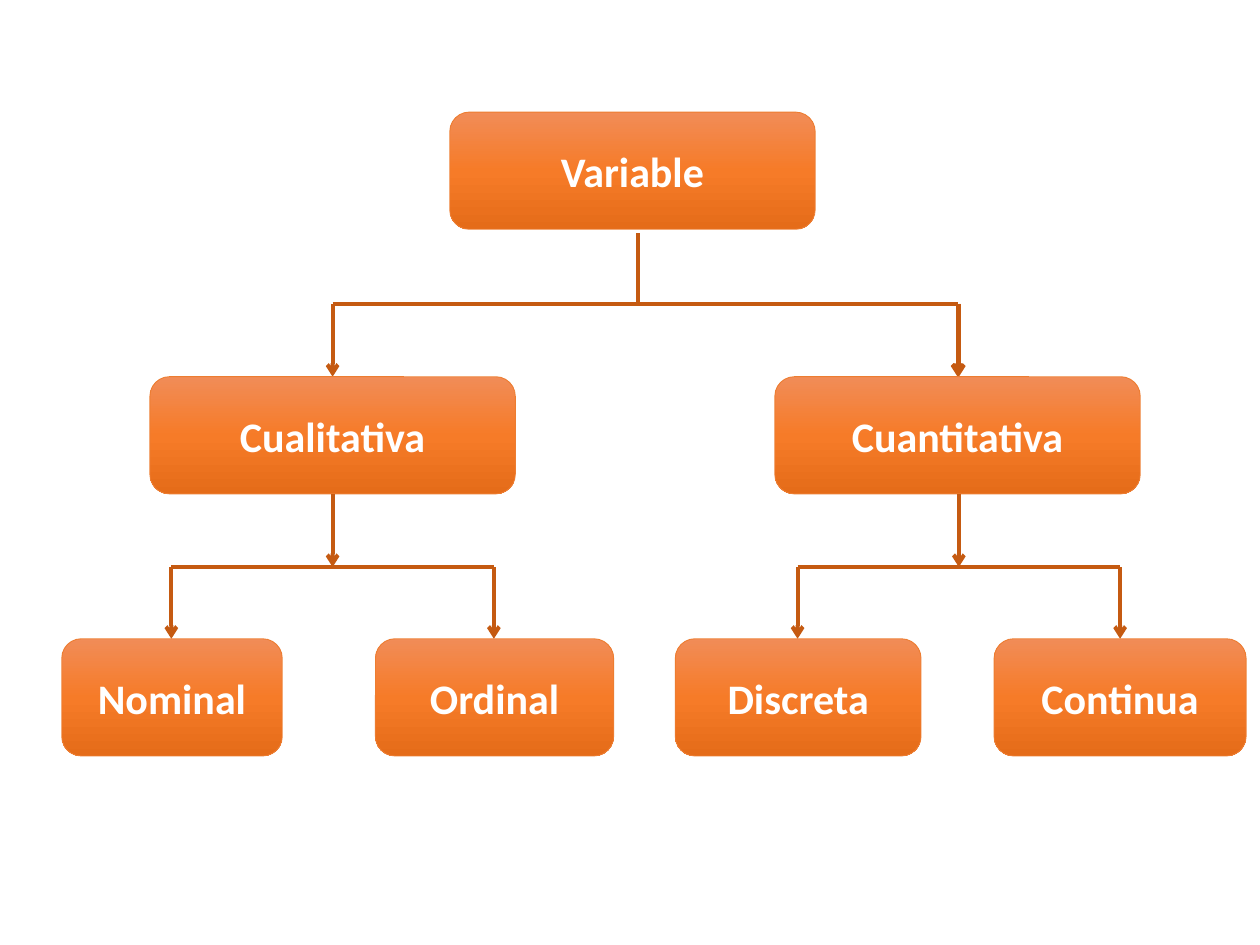
from copy import deepcopy

from pptx import Presentation
from pptx.dml.color import RGBColor
from pptx.enum.shapes import MSO_CONNECTOR, MSO_SHAPE
from pptx.enum.text import MSO_ANCHOR, PP_ALIGN
from pptx.oxml.ns import qn
from pptx.oxml.xmlchemy import OxmlElement
from pptx.util import Inches, Pt

WHITE = RGBColor(0xFF, 0xFF, 0xFF)
BORDER = RGBColor(0xED, 0x7D, 0x31)
BRANCH = RGBColor(0xC5, 0x5A, 0x11)
GRADIENT = [
    (0, RGBColor(0xF1, 0x8C, 0x57)),
    (0.5, RGBColor(0xF6, 0x7B, 0x28)),
    (1, RGBColor(0xE5, 0x6C, 0x19)),
]

BOX_HEIGHT = 0.93
ROOT_TOP, GROUP_TOP, LEAF_TOP = 0.89, 2.99, 5.07
GROUP_BAR, LEAF_BAR = 2.41, 4.5
GROUP_WIDTH = 2.9

GROUPS = [
    ("Cualitativa", 1.19, 2.64, (1.36, 3.92)),
    ("Cuantitativa", 6.15, 7.61, (6.33, 8.89)),
]
LEAVES = [
    ("Nominal", 0.49, 1.75),
    ("Ordinal", 2.98, 1.89),
    ("Discreta", 5.36, 1.95),
    ("Continua", 7.89, 2),
]


def fill_gradient(sp):
    sp.fill.gradient()
    sp.fill.gradient_angle = 270
    stops = sp._element.spPr.find(qn("a:gradFill")).find(qn("a:gsLst"))
    stops.append(deepcopy(stops[-1]))
    for stop, (position, color) in zip(sp.fill.gradient_stops, GRADIENT):
        stop.position = position
        stop.color.rgb = color


def add_box(s, text, left, top, width):
    sp = s.shapes.add_shape(
        MSO_SHAPE.ROUNDED_RECTANGLE,
        Inches(left), Inches(top), Inches(width), Inches(BOX_HEIGHT),
    )
    sp.shadow.inherit = False
    fill_gradient(sp)
    sp.line.color.rgb = BORDER
    sp.line.width = Pt(0.5)
    tf = sp.text_frame
    tf.word_wrap = True
    tf.vertical_anchor = MSO_ANCHOR.MIDDLE
    p = tf.paragraphs[0]
    p.text = text
    p.alignment = PP_ALIGN.CENTER
    p.font.name = "Calibri"
    p.font.size = Pt(24)
    p.font.bold = True
    p.font.color.rgb = WHITE


def add_line(s, x1, y1, x2, y2, arrow=False):
    line = s.shapes.add_connector(
        MSO_CONNECTOR.STRAIGHT, Inches(x1), Inches(y1), Inches(x2), Inches(y2)
    )
    line.line.color.rgb = BRANCH
    line.line.width = Pt(2.25)
    if arrow:
        tail = OxmlElement("a:tailEnd")
        tail.set("type", "arrow")
        line.line._get_or_add_ln().append(tail)
    line._element.spPr.append(OxmlElement("a:effectLst"))


def add_fork(s, bar_y, bottom, xs):
    add_line(s, xs[0], bar_y, xs[-1], bar_y)
    for x in xs:
        add_line(s, x, bar_y, x, bottom, arrow=True)


def main():
    prs = Presentation()
    prs.slide_width, prs.slide_height = Inches(10), Inches(7.5)
    s = prs.slides.add_slide(prs.slide_layouts[6])

    add_box(s, "Variable", 3.57, ROOT_TOP, GROUP_WIDTH)
    add_line(s, 5.06, 1.85, 5.06, GROUP_BAR)
    add_fork(s, GROUP_BAR, GROUP_TOP, (2.64, 7.61, 7.6))

    for text, left, center, leaf_xs in GROUPS:
        add_box(s, text, left, GROUP_TOP, GROUP_WIDTH)
        add_line(s, center, GROUP_TOP + BOX_HEIGHT, center, LEAF_BAR, arrow=True)
        add_fork(s, LEAF_BAR, LEAF_TOP, leaf_xs)

    for text, left, width in LEAVES:
        add_box(s, text, left, LEAF_TOP, width)

    prs.save("out.pptx")


if __name__ == "__main__":
    main()
